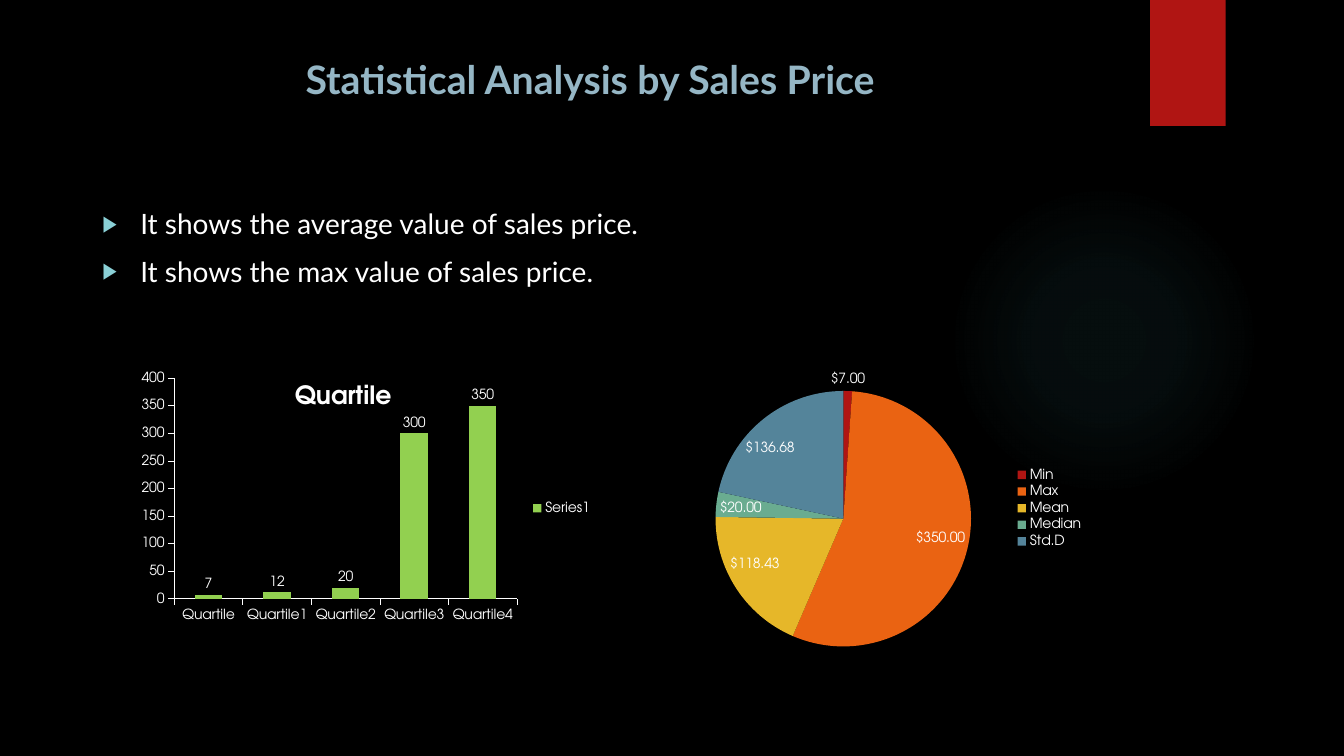
"""Build a slide on sales price statistics with a column chart and a pie chart."""
import dataclasses

import lxml.etree
import pptx
import pptx.chart.data
import pptx.dml.color
import pptx.enum.chart
import pptx.enum.shapes
import pptx.enum.text
import pptx.oxml
import pptx.oxml.ns
import pptx.util

Pt = pptx.util.Pt
qn = pptx.oxml.ns.qn


@dataclasses.dataclass(frozen=True)
class Theme:
    """Colours, fonts and type sizes of the slide."""

    background: str = "000000"
    text: str = "FFFFFF"
    title: str = "95B6C5"
    bullet: str = "8AD0D6"
    ribbon: str = "B01513"
    glow: str = "50B9C1"
    column: str = "92D050"
    slices: tuple = ("B01513", "EA6312", "E6B729", "6AAC90", "54849A")
    text_font: str = "Lato"
    chart_font: str = "TeX Gyre Adventor"
    title_size: int = 28
    body_size: int = 20
    chart_title_size: int = 18
    chart_size: int = 10


@dataclasses.dataclass(frozen=True)
class Box:
    """A rectangle in points."""

    left: float
    top: float
    width: float
    height: float

    def lengths(self):
        """Return the four sides as lengths."""
        return [Pt(side) for side in (self.left, self.top, self.width, self.height)]


THEME = Theme()


def colour(value):
    """Return a colour from its hexadecimal name."""
    return pptx.dml.color.RGBColor.from_string(value)


def style(font, size, value, name, bold=False):
    """Set size, colour, face and weight of a font."""
    font.size, font.name, font.bold = Pt(size), name, bold
    font.color.rgb = colour(value)


def fill_solid(target, value):
    """Give a fill owner one plain colour."""
    target.fill.solid()
    target.fill.fore_color.rgb = colour(value)


def add_backdrop_shape(page, kind, box):
    """Add a preset shape without line or shadow behind everything else."""
    shape = page.shapes.add_shape(kind, *box.lengths())
    shape.shadow.inherit = False
    shape.line.fill.background()
    page.shapes._spTree.insert(2, shape._element)
    return shape


def add_ribbon(page, box):
    """Add the ribbon at the top edge."""
    ribbon = add_backdrop_shape(page, pptx.enum.shapes.MSO_SHAPE.RECTANGLE, box)
    fill_solid(ribbon, THEME.ribbon)


def add_glow(page, box):
    """Add the faint circular glow."""
    glow = add_backdrop_shape(page, pptx.enum.shapes.MSO_SHAPE.OVAL, box)
    glow.fill.gradient()
    gradient = glow._element.spPr.find(qn("a:gradFill"))
    for child in list(gradient):
        gradient.remove(child)
    stops = lxml.etree.SubElement(gradient, qn("a:gsLst"))
    for position, opacity in ((0, 7), (36, 6), (69, 0)):
        stop = lxml.etree.SubElement(stops, qn("a:gs"), pos=str(position * 1000))
        tint = lxml.etree.SubElement(stop, qn("a:srgbClr"), val=THEME.glow)
        lxml.etree.SubElement(tint, qn("a:alpha"), val=str(opacity * 1000))
    centre = lxml.etree.SubElement(gradient, qn("a:path"), path="circle")
    sides = dict.fromkeys("ltrb", "50000")
    lxml.etree.SubElement(centre, qn("a:fillToRect"), **sides)


def place_placeholder(holder, box):
    """Move a placeholder to its box and return its text frame."""
    holder.left, holder.top, holder.width, holder.height = box.lengths()
    frame = holder.text_frame
    frame.word_wrap = True
    frame.auto_size = pptx.enum.text.MSO_AUTO_SIZE.NONE
    frame.vertical_anchor = pptx.enum.text.MSO_ANCHOR.TOP
    return frame


def add_title(page, box, text):
    """Fill the title placeholder."""
    para = place_placeholder(page.shapes.title, box).paragraphs[0]
    para.text = text
    para.alignment = pptx.enum.text.PP_ALIGN.CENTER
    style(para.font, THEME.title_size, THEME.title, THEME.text_font, True)


def add_bullets(page, box, lines):
    """Fill the body placeholder with a bulleted list."""
    frame = place_placeholder(page.placeholders[1], box)
    frame.text = "\n".join(lines)
    for para in frame.paragraphs:
        para.space_before = Pt(10)
        style(para.font, THEME.body_size, THEME.text, THEME.text_font)
        properties = para._p.get_or_add_pPr()
        properties.set("marL", str(Pt(27)))
        properties.set("indent", str(-Pt(27)))
        marks = [
            lxml.etree.Element(qn("a:buClr")),
            lxml.etree.Element(qn("a:buSzPct"), val="80000"),
            lxml.etree.Element(qn("a:buChar"), char="▶"),
        ]
        lxml.etree.SubElement(marks[0], qn("a:srgbClr"), val=THEME.bullet)
        for mark in marks:
            properties.find(qn("a:defRPr")).addprevious(mark)


def set_layout(parent, before, **values):
    """Write a manual chart layout ahead of the named sibling."""
    for old in parent.findall(qn("c:layout")):
        parent.remove(old)
    layout = lxml.etree.Element(qn("c:layout"))
    manual = lxml.etree.SubElement(layout, qn("c:manualLayout"))
    for name, value in values.items():
        lxml.etree.SubElement(manual, qn(f"c:{name}"), val=str(value))
    parent.find(qn(before)).addprevious(layout)


def add_chart(page, box, kind, series_name, values, number_format, plot_area):
    """Add a chart of one series with labels and a legend at the right."""
    data = pptx.chart.data.CategoryChartData()
    data.categories = list(values)
    data.add_series(series_name, list(values.values()))
    chart = page.shapes.add_chart(kind, *box.lengths(), data).chart
    style(chart.font, THEME.chart_size, THEME.text, THEME.chart_font)
    chart.has_title = False
    chart.has_legend = True
    chart.legend.position = pptx.enum.chart.XL_LEGEND_POSITION.RIGHT
    chart.legend.include_in_layout = False
    plot = chart.plots[0]
    plot.has_data_labels = True
    labels = plot.data_labels
    labels.show_value = True
    labels.number_format, labels.number_format_is_linked = number_format, False
    left, top, width, height = plot_area
    first = "c:pieChart" if kind == pptx.enum.chart.XL_CHART_TYPE.PIE else "c:barChart"
    set_layout(chart._chartSpace.chart.plotArea, first, layoutTarget="inner",
               xMode="edge", yMode="edge", x=left, y=top, w=width, h=height)
    return chart


def add_price_pie(page, box, values):
    """Add the pie of price statistics."""
    chart = add_chart(page, box, pptx.enum.chart.XL_CHART_TYPE.PIE, "Series 1",
                      values, '"$"#,##0.00', (0.2, 0.11, 0.54, 0.85))
    plot = chart.plots[0]
    plot.data_labels.position = pptx.enum.chart.XL_LABEL_POSITION.BEST_FIT
    for index, value in enumerate(THEME.slices):
        fill_solid(plot.series[0].points[index].format, value)


def add_quartile_columns(page, box, values):
    """Add the column chart of quartiles."""
    chart = add_chart(page, box, pptx.enum.chart.XL_CHART_TYPE.COLUMN_CLUSTERED,
                      "Series1", values, "General", (0.15, 0.07, 0.68, 0.73))
    title = chart.chart_title
    para = title.text_frame.paragraphs[0]
    para.text = "Quartile"
    style(para.font, THEME.chart_title_size, THEME.text, THEME.chart_font, True)
    set_layout(title._element, "c:overlay", xMode="edge", yMode="edge", x=0.38, y=0.07)
    plot = chart.plots[0]
    plot.gap_width, plot.vary_by_categories = 150, False
    plot.data_labels.position = pptx.enum.chart.XL_LABEL_POSITION.OUTSIDE_END
    fill_solid(plot.series[0].format, THEME.column)
    for axis in (chart.category_axis, chart.value_axis):
        axis.has_major_gridlines = False
        axis.major_tick_mark = pptx.enum.chart.XL_TICK_MARK.OUTSIDE
        axis.format.line.width = Pt(0.5)
        axis.format.line.color.rgb = colour(THEME.text)
        style(axis.tick_labels.font, THEME.chart_size, THEME.text, THEME.chart_font)
    scale = chart.value_axis
    scale.minimum_scale, scale.maximum_scale, scale.major_unit = 0, 400, 50


def build_statistics_page(deck):
    """Add the slide with its title, list and both charts."""
    page = deck.slides.add_slide(deck.slide_layouts[1])
    fill_solid(page.background, THEME.background)
    add_ribbon(page, Box(821.5, 0, 54, 90))
    add_glow(page, Box(677.5, 132, 222, 222))
    add_title(page, Box(51, 36, 741, 48), "Statistical Analysis by Sales Price")
    add_bullets(page, Box(66, 144, 828, 390), [
        "It shows the average value of sales price.",
        "It shows the max value of sales price.",
    ])
    add_price_pie(page, Box(443.5, 255, 338, 216), {
        "Min": 7, "Max": 350, "Mean": 118.43, "Median": 20, "Std.D": 136.68})
    add_quartile_columns(page, Box(70.5, 255, 360, 216), {
        "Quartile": 7, "Quartile1": 12, "Quartile2": 20,
        "Quartile3": 300, "Quartile4": 350})


def main():
    """Create the deck and save it."""
    deck = pptx.Presentation()
    deck.slide_width, deck.slide_height = Pt(960), Pt(540)
    build_statistics_page(deck)
    deck.save("out.pptx")


if __name__ == "__main__":
    main()
